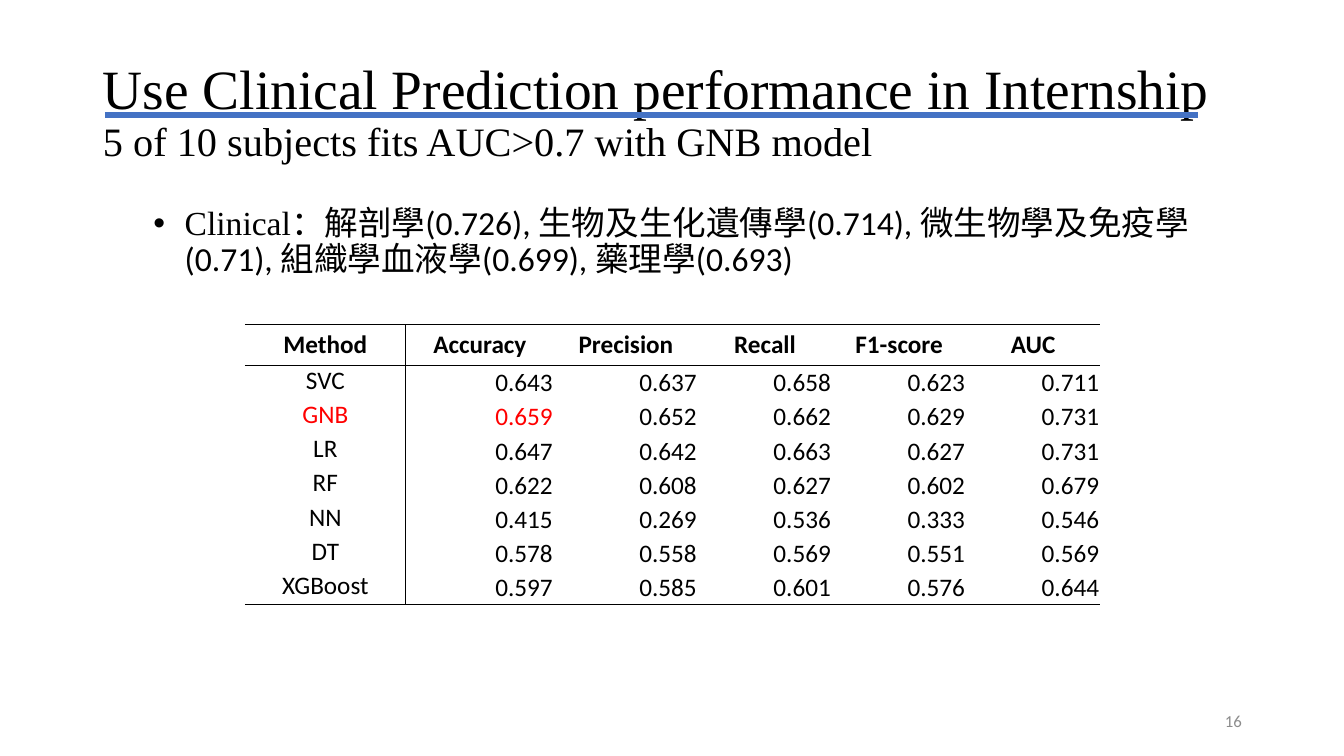
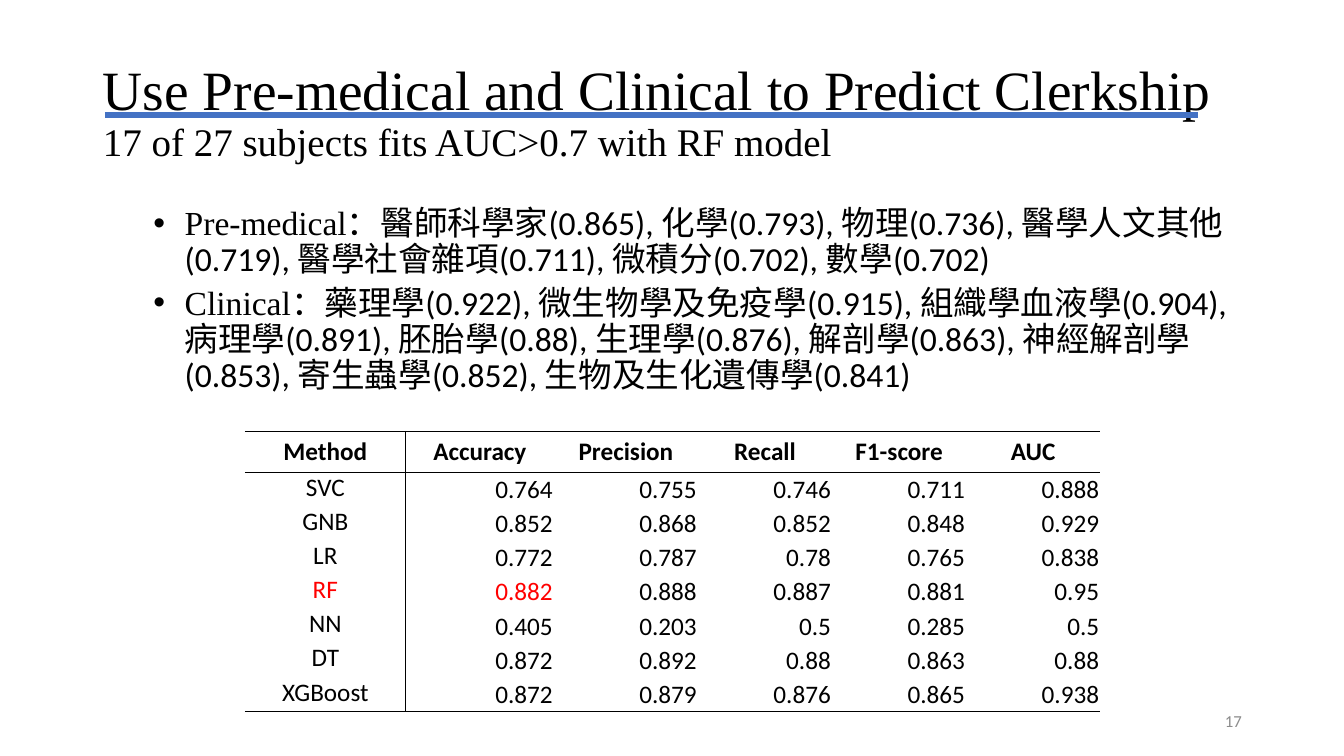
"""Build two slides on how well grades predict later training."""
from dataclasses import dataclass

from lxml import etree
from pptx import Presentation
from pptx import util as u
from pptx.dml.color import RGBColor
from pptx.enum import shapes, text
from pptx.oxml.ns import qn

Cm, Pt = u.Cm, u.Pt


@dataclass(frozen=True)
class Theme:
    """Colours, fonts and type sizes of the deck."""
    ink: str = "000000"
    best: str = "FF0000"
    rule: str = "4472C4"
    faint: str = "8C8C8C"
    serif: str = "Times New Roman"
    sans: str = "Calibri"
    han: str = "Noto Sans CJK SC"
    title: float = 39.6
    body: float = 24
    cell: float = 18
    note: float = 12


T = Theme()
HEADS = ["Method", "Accuracy", "Precision", "Recall", "F1-score", "AUC"]
WIDTHS = [4.06, 3.73, 3.63, 3.38, 3.38, 3.38]
HEAD_ROW, ROW = 0.94, 0.86

INTERN = dict(
    page="16", wide=30.84, small=28.8, top=8.18, best="GNB",
    title="Use Clinical Prediction performance in Internship",
    sub="5 of 10 subjects fits AUC>0.7 with GNB model",
    lists={
        "Clinical": [
            ("解剖學", "0.726"), ("生物及生化遺傳學", "0.714"),
            ("微生物學及免疫學", "0.71"), ("組織學血液學", "0.699"),
            ("藥理學", "0.693")],
    },
    rows=[
        ["SVC", "0.643", "0.637", "0.658", "0.623", "0.711"],
        ["GNB", "0.659", "0.652", "0.662", "0.629", "0.731"],
        ["LR", "0.647", "0.642", "0.663", "0.627", "0.731"],
        ["RF", "0.622", "0.608", "0.627", "0.602", "0.679"],
        ["NN", "0.415", "0.269", "0.536", "0.333", "0.546"],
        ["DT", "0.578", "0.558", "0.569", "0.551", "0.569"],
        ["XGBoost", "0.597", "0.585", "0.601", "0.576", "0.644"],
    ])

CLERK = dict(
    page="17", wide=29.21, small=27.9, top=10.87, best="RF",
    title="Use Pre-medical and Clinical to Predict Clerkship",
    sub="17 of 27 subjects fits AUC>0.7 with RF model",
    lists={
        "Pre-medical": [
            ("醫師科學家", "0.865"), ("化學", "0.793"), ("物理", "0.736"),
            ("醫學人文其他", "0.719"), ("醫學社會雜項", "0.711"),
            ("微積分", "0.702"), ("數學", "0.702")],
        "Clinical": [
            ("藥理學", "0.922"), ("微生物學及免疫學", "0.915"),
            ("組織學血液學", "0.904"), ("病理學", "0.891"),
            ("胚胎學", "0.88"), ("生理學", "0.876"), ("解剖學", "0.863"),
            ("神經解剖學", "0.853"), ("寄生蟲學", "0.852"),
            ("生物及生化遺傳學", "0.841")],
    },
    rows=[
        ["SVC", "0.764", "0.755", "0.746", "0.711", "0.888"],
        ["GNB", "0.852", "0.868", "0.852", "0.848", "0.929"],
        ["LR", "0.772", "0.787", "0.78", "0.765", "0.838"],
        ["RF", "0.882", "0.888", "0.887", "0.881", "0.95"],
        ["NN", "0.405", "0.203", "0.5", "0.285", "0.5"],
        ["DT", "0.872", "0.892", "0.88", "0.863", "0.88"],
        ["XGBoost", "0.872", "0.879", "0.876", "0.865", "0.938"],
    ])


def style(run, size, face, color=T.ink, bold=False):
    """Set the size, face, colour and weight of a run."""
    font = run.font
    font.size, font.name, font.bold = Pt(size), face, bold
    font.color.rgb = RGBColor.from_string(color)
    east = etree.SubElement(run._r.get_or_add_rPr(), qn("a:ea"))
    east.set("typeface", T.han)


def place(shape, left, top, width, height):
    """Put a shape at a place given in centimetres."""
    shape.left, shape.top = Cm(left), Cm(top)
    shape.width, shape.height = Cm(width), Cm(height)


def add_title(slide, data):
    """Fill the title with its main line and smaller second line."""
    shape = slide.shapes.title
    place(shape, 2.34, 1.02, data["wide"], 3.68)
    frame = shape.text_frame
    frame.text = data["title"] + "\v" + data["sub"]
    frame.auto_size = text.MSO_AUTO_SIZE.NONE
    frame.vertical_anchor = text.MSO_ANCHOR.MIDDLE
    para = frame.paragraphs[0]
    para.alignment, para.line_spacing = text.PP_ALIGN.LEFT, 0.9
    for run, size in zip(para.runs, (T.title, data["small"])):
        style(run, size, T.serif)
    gap = etree.SubElement(para._p.find(qn("a:br")), qn("a:rPr"))
    gap.set("sz", str(round(T.title * 100)))


def add_rule(slide):
    """Draw the blue rule under the main title line."""
    line = slide.shapes.add_connector(
        shapes.MSO_CONNECTOR.STRAIGHT, Cm(2.64), Cm(2.9), Cm(30.18), Cm(2.9))
    line.line.color.rgb = RGBColor.from_string(T.rule)
    line.line.width = Pt(4.5)
    etree.SubElement(line._element.spPr, qn("a:effectLst"))


def bullet(para):
    """Give a paragraph its indent, spacing and round bullet."""
    para.level, para.line_spacing, para.space_before = 1, 0.9, Pt(5)
    props = para._p.get_or_add_pPr()
    props.set("marL", str(Cm(2.06)))
    props.set("indent", str(Cm(-0.79)))
    etree.SubElement(props, qn("a:buFont")).set("typeface", "Arial")
    etree.SubElement(props, qn("a:buChar")).set("char", "•")


def add_lists(slide, lists):
    """Write one bullet of subjects and scores for each stage."""
    shape = slide.placeholders[1]
    place(shape, 2.34, 5.08, 29.21, 12.09)
    frame = shape.text_frame
    frame.auto_size = text.MSO_AUTO_SIZE.NONE
    frame.text = "\n".join(stage + "：" for stage in lists)
    for para, pairs in zip(frame.paragraphs, lists.values()):
        bullet(para)
        style(para.runs[0], T.body, T.serif)
        for num, (name, score) in enumerate(pairs, 1):
            tail = ", " if num < len(pairs) else ""
            for part, face in ((name, T.han), (f"({score}){tail}", T.sans)):
                run = para.add_run()
                run.text = part
                style(run, T.body, face)


def edge(cell, sides):
    """Draw black borders on the named sides of a cell only."""
    cell.fill.background()
    props = cell._tc.get_or_add_tcPr()
    for spot, side in enumerate("LRTB"):
        line = etree.Element(qn("a:ln" + side), w=str(Pt(1)))
        props.insert(spot, line)
        if side in sides:
            fill = etree.SubElement(line, qn("a:solidFill"))
            etree.SubElement(fill, qn("a:srgbClr")).set("val", T.ink)
        else:
            etree.SubElement(line, qn("a:noFill"))


def inset(cell, side, top):
    """Set tight cell margins in centimetres."""
    cell.margin_left = cell.margin_right = Cm(side)
    cell.margin_top, cell.margin_bottom = Cm(top), 0


def fill_cell(cell, word, row, col, last, color):
    """Write and format one table cell by its row and column."""
    cell.text = word
    para = cell.text_frame.paragraphs[0]
    para.alignment = text.PP_ALIGN.CENTER
    style(para.runs[0], T.cell, T.sans, color, row == 0)
    if row and col:
        para.alignment = text.PP_ALIGN.RIGHT
        cell.vertical_anchor = text.MSO_ANCHOR.MIDDLE
        inset(cell, 0.03, 0.03)
    elif row:
        inset(cell, 0.1, 0)
    sides = {0: "TB", 1: "T", last: "B"}.get(row, "")
    edge(cell, sides + {0: "R", 1: "L"}.get(col, ""))


def add_scores(slide, data):
    """Add the table of scores with the best method in red."""
    rows = [HEADS] + data["rows"]
    last = len(rows) - 1
    table = slide.shapes.add_table(
        len(rows), len(HEADS), Cm(6.17), Cm(data["top"]),
        Cm(sum(WIDTHS)), Cm(HEAD_ROW + last * ROW)).table
    table.first_row = table.horz_banding = False
    plain = "{2D5ABB26-0587-4C30-8999-92F81FD0307C}"
    table._tbl.tblPr.find(qn("a:tableStyleId")).text = plain
    for col, width in enumerate(WIDTHS):
        table.columns[col].width = Cm(width)
    for row, words in enumerate(rows):
        table.rows[row].height = Cm(ROW if row else HEAD_ROW)
        for col, word in enumerate(words):
            top = words[0] == data["best"] and col < 2
            fill_cell(table.cell(row, col), word, row, col, last,
                      T.best if top else T.ink)


def add_page(slide, page):
    """Write the page number at the lower right."""
    box = slide.shapes.add_textbox(Cm(23.93), Cm(17.65), Cm(7.62), Cm(1.01))
    frame = box.text_frame
    frame.word_wrap = True
    frame.vertical_anchor = text.MSO_ANCHOR.MIDDLE
    frame.text = page
    para = frame.paragraphs[0]
    para.alignment = text.PP_ALIGN.RIGHT
    style(para.runs[0], T.note, T.sans, T.faint)


def main():
    """Build and save the deck."""
    deck = Presentation()
    deck.slide_width, deck.slide_height = Cm(33.87), Cm(19.05)
    for data in (INTERN, CLERK):
        slide = deck.slides.add_slide(deck.slide_layouts[1])
        add_title(slide, data)
        add_lists(slide, data["lists"])
        add_scores(slide, data)
        add_page(slide, data["page"])
        add_rule(slide)
    deck.save("out.pptx")


if __name__ == "__main__":
    main()
